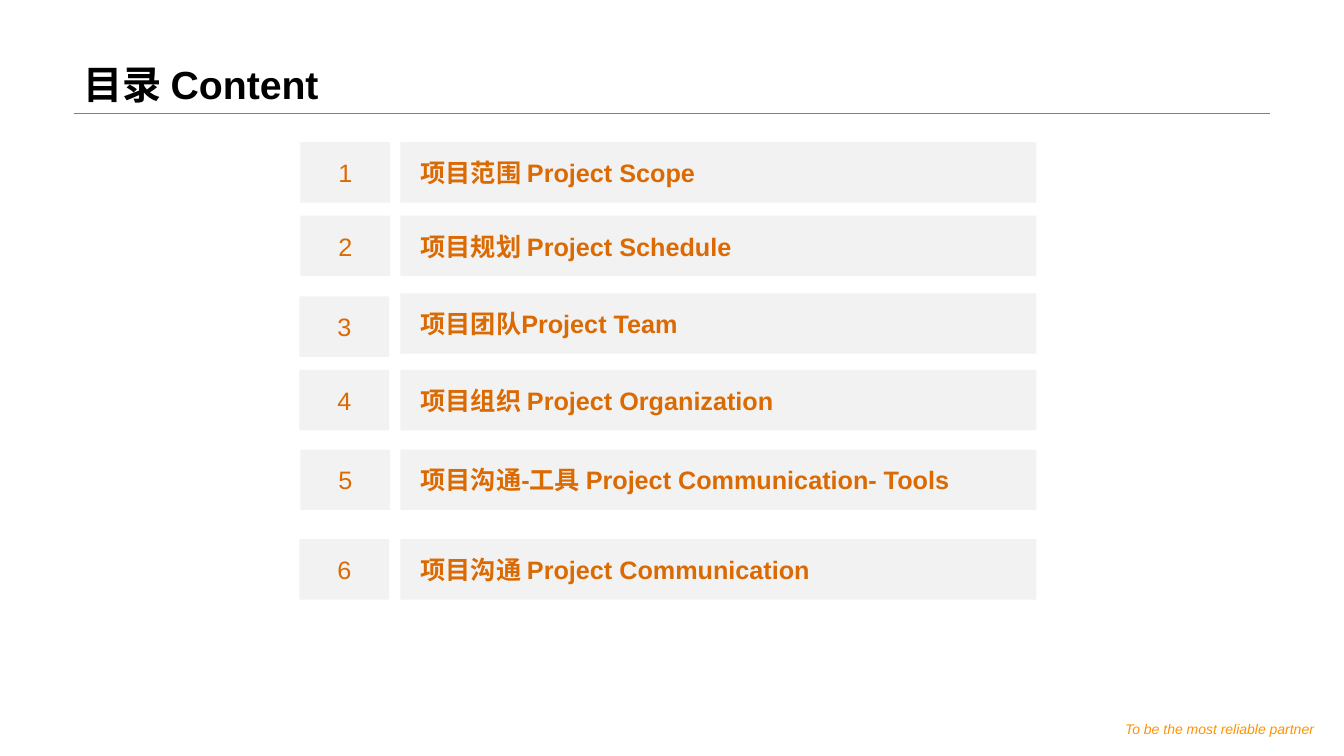
from lxml.etree import SubElement
from pptx import Presentation
from pptx.dml.color import RGBColor
from pptx.enum.shapes import MSO_CONNECTOR, MSO_SHAPE
from pptx.enum.text import MSO_ANCHOR, PP_ALIGN
from pptx.oxml.ns import qn
from pptx.util import Pt

PX = 9144  # 100 px to the inch
FONT = "Arial"
BLACK = RGBColor(0x00, 0x00, 0x00)
GREY = RGBColor(0x80, 0x80, 0x80)
PALE = RGBColor(0xF2, 0xF2, 0xF2)
RUST = RGBColor(0xDB, 0x6A, 0x03)
AMBER = RGBColor(0xFF, 0x93, 0x00)

# number left, number top, bar top, topic
ROWS = [
    (298, 141, 141, "项目范围 Project Scope"),
    (298, 214, 214, "项目规划 Project Schedule"),
    (297, 294, 291, "项目团队Project Team"),
    (297, 367, 367, "项目组织 Project Organization"),
    (298, 446, 446, "项目沟通-工具 Project Communication- Tools"),
    (297, 535, 535, "项目沟通 Project Communication"),
]


def to_emu(*sizes):
    return [size * PX for size in sizes]


def set_text(shape, text, size, color, insets, anchor, align=PP_ALIGN.LEFT,
             bold=False, italic=False, wrap=True):
    """Fill a shape with one paragraph; insets run left, top, right, bottom."""
    frame = shape.text_frame
    frame.word_wrap = wrap
    frame.vertical_anchor = anchor
    (frame.margin_left, frame.margin_top,
     frame.margin_right, frame.margin_bottom) = to_emu(*insets)
    para = frame.paragraphs[0]
    para.text = text
    para.alignment = align
    font = para.font
    font.name, font.size = FONT, Pt(size)
    font.bold, font.italic = bold, italic
    font.color.rgb = color
    return para


def add_rule(slide, left, top, right):
    rule = slide.shapes.add_connector(
        MSO_CONNECTOR.STRAIGHT, *to_emu(left, top, right, top))
    rule.line.color.rgb = GREY
    rule.line.width = Pt(0.25)
    SubElement(rule._element.spPr, qn("a:effectLst"))


def add_title(slide, text):
    box = slide.shapes.add_textbox(*to_emu(73, 0, 1187, 112))
    para = set_text(box, text, 28, BLACK, (10, 5, 10, 5),
                    MSO_ANCHOR.BOTTOM, bold=True)
    para.line_spacing = 0.9


def add_motto(slide, text):
    box = slide.shapes.add_textbox(*to_emu(1108, 708, 203, 30))
    set_text(box, text, 10, AMBER, (7, 7, 7, 7), MSO_ANCHOR.TOP,
             PP_ALIGN.CENTER, italic=True, wrap=False)


def add_panel(slide, left, top, width):
    panel = slide.shapes.add_shape(
        MSO_SHAPE.RECTANGLE, *to_emu(left, top, width, 60))
    panel.shadow.inherit = False
    panel.fill.solid()
    panel.fill.fore_color.rgb = PALE
    panel.line.fill.background()
    return panel


def add_row(slide, number, left, top, bar_top, topic):
    set_text(add_panel(slide, left, top, 89), str(number), 18, RUST,
             (0, 0, 0, 0), MSO_ANCHOR.MIDDLE, PP_ALIGN.CENTER, wrap=False)
    set_text(add_panel(slide, 397, bar_top, 631), topic, 18, RUST,
             (20, 5, 8, 5), MSO_ANCHOR.MIDDLE, bold=True)


def main():
    deck = Presentation()
    deck.slide_width, deck.slide_height = to_emu(1333, 750)
    slide = deck.slides.add_slide(deck.slide_layouts[6])
    add_rule(slide, 73, 112, 1260)
    add_motto(slide, "To be the most reliable partner")
    add_title(slide, "目录 Content")
    for number, row in enumerate(ROWS, 1):
        add_row(slide, number, *row)
    deck.save("out.pptx")


if __name__ == "__main__":
    main()
